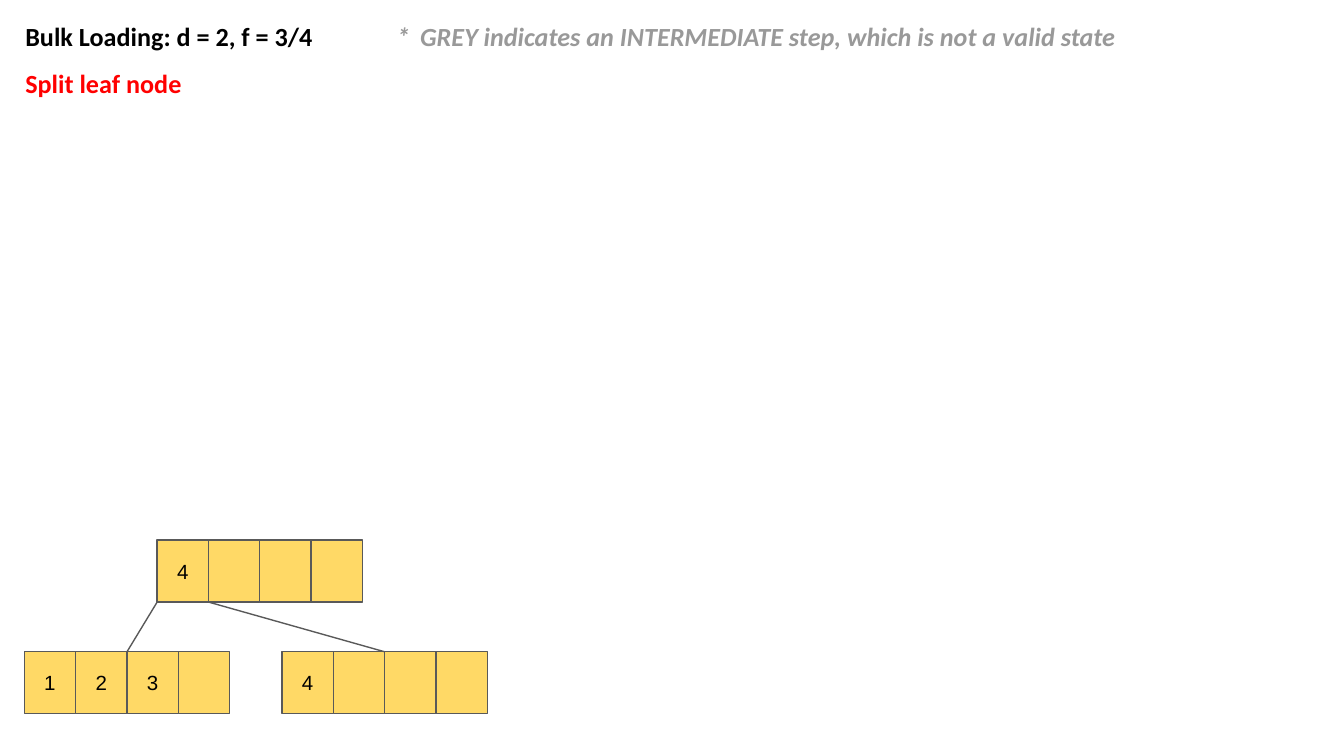
"""Build the bulk loading slide showing a B+ tree after a leaf split."""
import pptx
import pptx.dml.color
import pptx.enum.shapes
import pptx.enum.text
import pptx.oxml.ns
import pptx.util
from lxml import etree

Cm = pptx.util.Cm
CELL_W, CELL_H = 0.97, 1.17
SLOTS = 4
ROOT_X, ROOT_Y = 2.97, 10.21
LEAF_Y = 12.32
LEFT_X, RIGHT_X = 0.46, 5.33


def rgb(value):
    """Turn a hex string into a colour."""
    return pptx.dml.color.RGBColor.from_string(value)


def set_line(sp):
    """Give a shape or connector the thin grey line."""
    sp.line.color.rgb = rgb("595959")
    sp.line.width = pptx.util.Pt(0.75)


def add_run(p, text, size, font, color, bold=False, italic=False):
    """Add one formatted run to a paragraph."""
    r = p.add_run()
    r.text = text
    r.font.size = pptx.util.Pt(size)
    r.font.name = font
    r.font.bold = bold
    r.font.italic = italic
    r.font.color.rgb = rgb(color)


def set_insets(tf):
    """Set equal insets on all sides of a text frame."""
    tf.margin_left = tf.margin_right = Cm(0.25)
    tf.margin_top = tf.margin_bottom = Cm(0.25)
    tf.word_wrap = True


def add_tabs(p, stops):
    """Add left tab stops to a paragraph."""
    qn = pptx.oxml.ns.qn
    tabs = etree.SubElement(p._p.get_or_add_pPr(), qn("a:tabLst"))
    for stop in stops:
        etree.SubElement(tabs, qn("a:tab"), pos=str(Cm(stop)), algn="l")


def add_node(s, x, y, keys):
    """Draw a tree node as a row of slots filled with keys from the left."""
    for i in range(SLOTS):
        sp = s.shapes.add_shape(
            pptx.enum.shapes.MSO_SHAPE.RECTANGLE,
            Cm(x + i * CELL_W), Cm(y), Cm(CELL_W), Cm(CELL_H))
        sp.shadow.inherit = False
        sp.fill.solid()
        sp.fill.fore_color.rgb = rgb("FFD966")
        set_line(sp)
        if i < len(keys):
            tf = sp.text_frame
            set_insets(tf)
            tf.vertical_anchor = pptx.enum.text.MSO_ANCHOR.MIDDLE
            p = tf.paragraphs[0]
            p.alignment = pptx.enum.text.PP_ALIGN.CENTER
            add_run(p, keys[i], 11, "Arial", "000000")


def add_pointer(s, x1, x2):
    """Draw a line from the bottom of the root to the top of a leaf."""
    sp = s.shapes.add_connector(
        pptx.enum.shapes.MSO_CONNECTOR.STRAIGHT,
        Cm(x1), Cm(ROOT_Y + CELL_H), Cm(x2), Cm(LEAF_Y))
    set_line(sp)
    etree.SubElement(sp._element.spPr, pptx.oxml.ns.qn("a:effectLst"))


def add_heading(s, y, w, runs, stops=()):
    """Add a bold one-line heading made of text, colour and italic runs."""
    sp = s.shapes.add_textbox(Cm(0.23), Cm(y), Cm(w), Cm(0.89))
    set_insets(sp.text_frame)
    p = sp.text_frame.paragraphs[0]
    if stops:
        add_tabs(p, stops)
    for text, color, italic in runs:
        add_run(p, text, 14, "Calibri", color, bold=True, italic=italic)


def main():
    """Build and save the slide."""
    prs = pptx.Presentation()
    prs.slide_width, prs.slide_height = Cm(25.4), Cm(14.29)
    s = prs.slides.add_slide(prs.slide_layouts[6])

    add_node(s, LEFT_X, LEAF_Y, ["1", "2", "3"])
    add_node(s, RIGHT_X, LEAF_Y, ["4"])
    add_node(s, ROOT_X, ROOT_Y, ["4"])
    add_pointer(s, ROOT_X, LEFT_X + 2 * CELL_W)
    add_pointer(s, ROOT_X + CELL_W, RIGHT_X + 2 * CELL_W)

    add_heading(s, 0.13, 24.94, [
        ("Bulk Loading: d = 2, f = 3/4", "000000", False),
        ("\t*\tGREY indicates an INTERMEDIATE step, which is not a valid state",
         "999999", True),
    ], stops=(7.02, 7.46))
    add_heading(s, 1.02, 16.05, [("Split leaf node", "FF0000", False)])

    prs.save("out.pptx")


if __name__ == "__main__":
    main()
